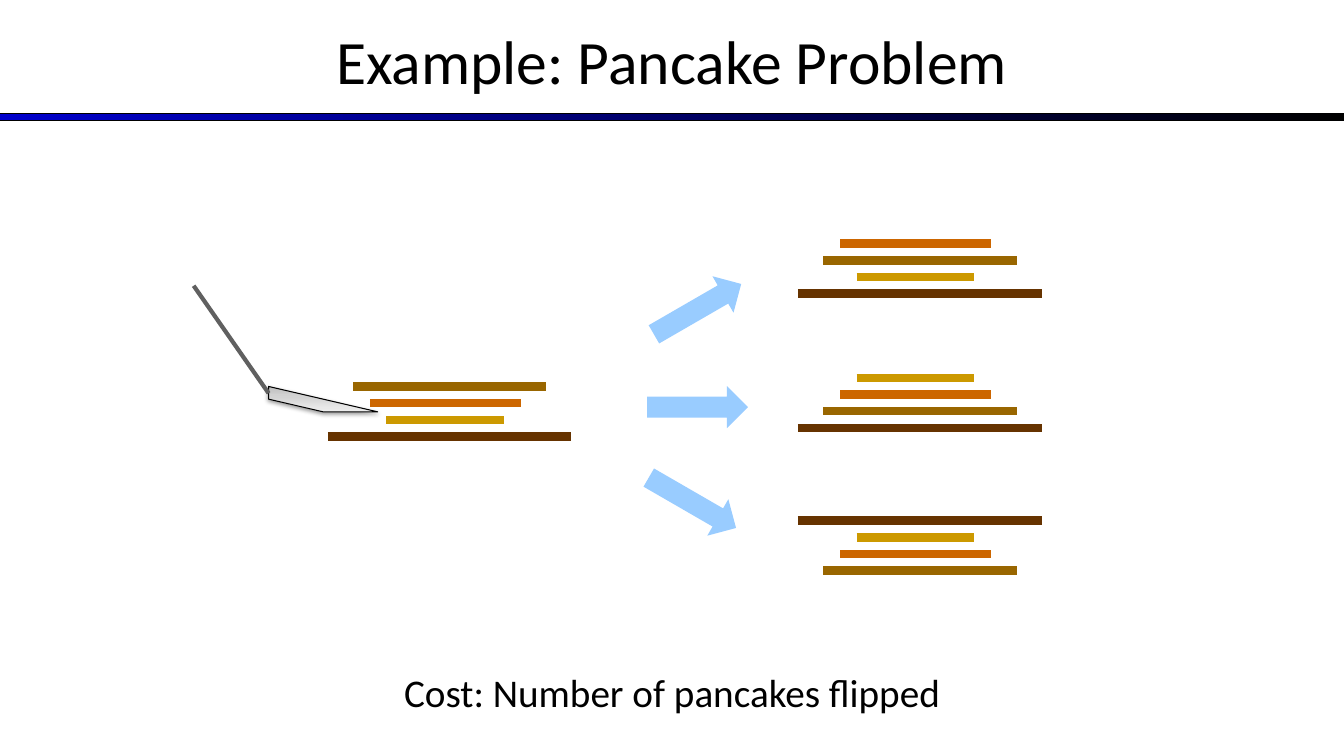
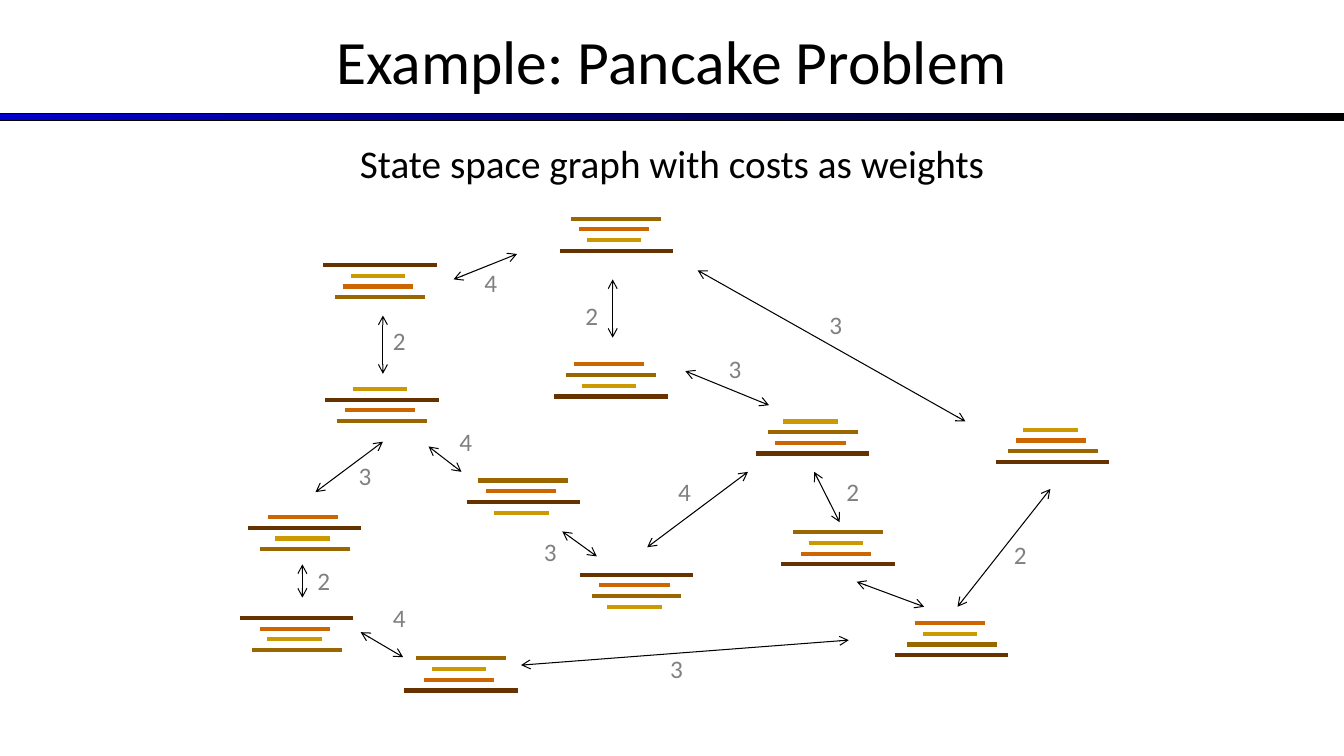
from lxml.etree import SubElement
from pptx import Presentation
from pptx.dml.color import RGBColor
from pptx.enum.shapes import MSO_CONNECTOR, MSO_SHAPE
from pptx.enum.text import MSO_ANCHOR, PP_ALIGN
from pptx.oxml.ns import qn
from pptx.util import Cm, Pt

BLACK = RGBColor(0x00, 0x00, 0x00)
BLUE = RGBColor(0x00, 0x00, 0xCC)
GRAY = RGBColor(0x80, 0x80, 0x80)
HANDLE = RGBColor(0x60, 0x60, 0x60)
SKY = RGBColor(0x99, 0xCC, 0xFF)
STEEL = [(0, RGBColor(0xBD, 0xBD, 0xBD)), (35, RGBColor(0xD1, 0xD1, 0xD1)),
         (100, RGBColor(0xEE, 0xEE, 0xEE))]
FONT = "Calibri"
WIDTH, HEIGHT = 33.87, 19.05

TITLE = "Example: Pancake Problem"
COST_NOTE = "Cost: Number of pancakes flipped"
GRAPH_NOTE = "State space graph with costs as weights"

# Pancake: indent from the stack's left edge, width (cm), colour
PANCAKES = {
    "XL": (0, 6.14, RGBColor(0x66, 0x33, 0x00)),
    "L": (0.64, 4.87, RGBColor(0x99, 0x66, 0x00)),
    "M": (1.06, 3.81, RGBColor(0xCC, 0x66, 0x00)),
    "S": (1.48, 2.96, RGBColor(0xCC, 0x99, 0x00)),
}
# Stack style: scale, vertical pitch (cm), line width (pt)
BIG = (1, 0.42, 6)
SMALL = (0.465, 0.27, 3)

# Stack: left, top, pancakes from top to bottom
FLIP_STACKS = [
    (8.26, 9.74, "L M S XL"),
    (20.11, 6.14, "M L S XL"),
    (20.11, 9.52, "S M L XL"),
    (20.11, 13.12, "XL S M L"),
]
# Arrow: left, top, rotation
FLIP_ARROWS = [(16.31, 7.26, -30), (16.31, 9.73, 0), (16.18, 12.14, 30)]

STATES = [
    (14.10, 5.51, "L M S XL"),
    (8.15, 6.68, "XL S M L"),
    (8.20, 9.80, "S XL M L"),
    (6.25, 13.03, "M XL S L"),
    (11.76, 12.11, "L M XL S"),
    (25.10, 10.83, "S M L XL"),
    (13.97, 9.18, "M L S XL"),
    (14.61, 14.48, "XL M L S"),
    (6.05, 15.57, "XL M S L"),
    (10.19, 16.59, "L S M XL"),
    (19.05, 10.62, "S L M XL"),
    (22.56, 15.70, "M S L XL"),
    (19.69, 13.41, "L S M XL"),
]
# Edge: start, end, cost, place of the cost
EDGES = [
    ((13.03, 6.40), (11.43, 7.04), "4", (11.96, 6.60)),
    ((9.65, 9.42), (9.65, 7.95), "2", (9.65, 8.08)),
    ((7.95, 12.40), (9.65, 11.13), "3", (8.79, 11.48)),
    ((11.63, 11.89), (10.80, 11.25), "4", (11.33, 10.62)),
    ((7.62, 15.06), (7.62, 14.22), "2", (7.75, 14.12)),
    ((10.16, 16.56), (9.09, 15.93), "4", (9.65, 15.06)),
    ((21.39, 16.13), (13.13, 16.76), "3", (16.64, 16.33)),
    ((15.04, 14.02), (14.17, 13.39), "3", (13.46, 13.39)),
    ((18.85, 11.89), (16.31, 13.79), "4", (16.84, 11.89)),
    ((17.27, 9.35), (19.38, 10.21), "3", (18.11, 8.79)),
    ((15.44, 7.04), (15.44, 8.51), "2", (14.50, 7.44)),
    ((24.33, 10.62), (17.58, 6.81), "3", (20.65, 7.67)),
    ((20.52, 11.89), (21.16, 13.16), "2", (21.08, 11.89)),
    ((21.59, 14.66), (23.29, 15.29), None, None),
    ((24.13, 15.29), (26.47, 12.32), "2", (25.30, 13.46)),
]


def add_text(s, text, box, size, color=BLACK, align=PP_ALIGN.CENTER,
             anchor=MSO_ANCHOR.TOP):
    tf = s.shapes.add_textbox(*map(Cm, box)).text_frame
    tf.word_wrap = True
    tf.vertical_anchor = anchor
    p = tf.paragraphs[0]
    p.alignment = align
    r = p.add_run()
    r.text = text
    r.font.name, r.font.size = FONT, Pt(size)
    r.font.color.rgb = color


def add_line(s, start, end, color, width, arrows=False):
    c = s.shapes.add_connector(MSO_CONNECTOR.STRAIGHT,
                               *map(Cm, (*start, *end)))
    c.line.color.rgb = color
    c.line.width = Pt(width)
    if arrows:
        for tag in ("a:headEnd", "a:tailEnd"):
            SubElement(c.line._get_or_add_ln(), qn(tag), type="arrow")
    SubElement(c._element.spPr, qn("a:effectLst"))


def add_shape(s, kind, box):
    sp = s.shapes.add_shape(kind, *map(Cm, box))
    sp.shadow.inherit = False
    return sp


def set_gradient(sp, stops, angle):
    """Fill with (percent, colour) stops and give a thin black outline."""
    sp.fill.gradient()
    grad = sp._element.spPr.find(qn("a:gradFill"))
    for child in list(grad):
        grad.remove(child)
    stop_list = SubElement(grad, qn("a:gsLst"))
    for percent, color in stops:
        gs = SubElement(stop_list, qn("a:gs"), pos=str(percent * 1000))
        SubElement(gs, qn("a:srgbClr"), val=str(color))
    SubElement(grad, qn("a:lin"), ang=str(angle * 60000), scaled="0")
    sp.line.color.rgb = BLACK
    sp.line.width = Pt(0.75)


def add_stack(s, left, top, order, style):
    scale, pitch, thickness = style
    for row, name in enumerate(order.split()):
        indent, width, color = PANCAKES[name]
        x, y = left + indent * scale, top + row * pitch
        add_line(s, (x, y), (x + width * scale, y), color, thickness)


def add_spatula(s):
    blade = add_shape(s, MSO_SHAPE.DIAGONAL_STRIPE, (6.77, 9.74, 2.75, 0.64))
    blade._element.spPr.xfrm.set("flipV", "1")
    set_gradient(blade, STEEL, 270)
    effects = blade._element.spPr.find(qn("a:effectLst"))
    shadow = SubElement(effects, qn("a:outerShdw"), blurRad=str(Pt(3.1)),
                        dist=str(Pt(1.6)), dir="5400000", rotWithShape="0")
    color = SubElement(shadow, qn("a:srgbClr"), val=str(BLACK))
    SubElement(color, qn("a:alpha"), val="38000")
    add_line(s, (6.77, 9.91), (4.88, 7.20), HANDLE, 3)


def new_slide(prs):
    s = prs.slides.add_slide(prs.slide_layouts[6])
    band = add_shape(s, MSO_SHAPE.RECTANGLE, (0, 2.86, WIDTH, 0.18))
    set_gradient(band, [(0, BLUE), (100, BLACK)], 0)
    add_text(s, TITLE, (0, -0.08, WIDTH, 3.18), 44, anchor=MSO_ANCHOR.MIDDLE)
    return s


def build_flip_slide(prs):
    s = new_slide(prs)
    for left, top, order in FLIP_STACKS:
        add_stack(s, left, top, order, BIG)
    add_spatula(s)
    for left, top, rotation in FLIP_ARROWS:
        arrow = add_shape(s, MSO_SHAPE.RIGHT_ARROW, (left, top, 2.54, 1.06))
        arrow.rotation = rotation
        arrow.fill.solid()
        arrow.fill.fore_color.rgb = SKY
        arrow.line.fill.background()
    add_text(s, COST_NOTE, (0, 16.72, WIDTH, 1.45), 28)


def build_graph_slide(prs):
    s = new_slide(prs)
    add_text(s, GRAPH_NOTE, (0, 3.39, WIDTH, 1.45), 28)
    for left, top, order in STATES:
        add_stack(s, left, top, order, SMALL)
    for start, end, cost, place in EDGES:
        add_line(s, start, end, BLACK, 0.75, arrows=True)
        if cost:
            add_text(s, cost, (*place, 0.85, 1.03), 18, GRAY, PP_ALIGN.LEFT)


def main():
    prs = Presentation()
    prs.slide_width, prs.slide_height = Cm(WIDTH), Cm(HEIGHT)
    build_flip_slide(prs)
    build_graph_slide(prs)
    prs.save("out.pptx")


if __name__ == "__main__":
    main()
